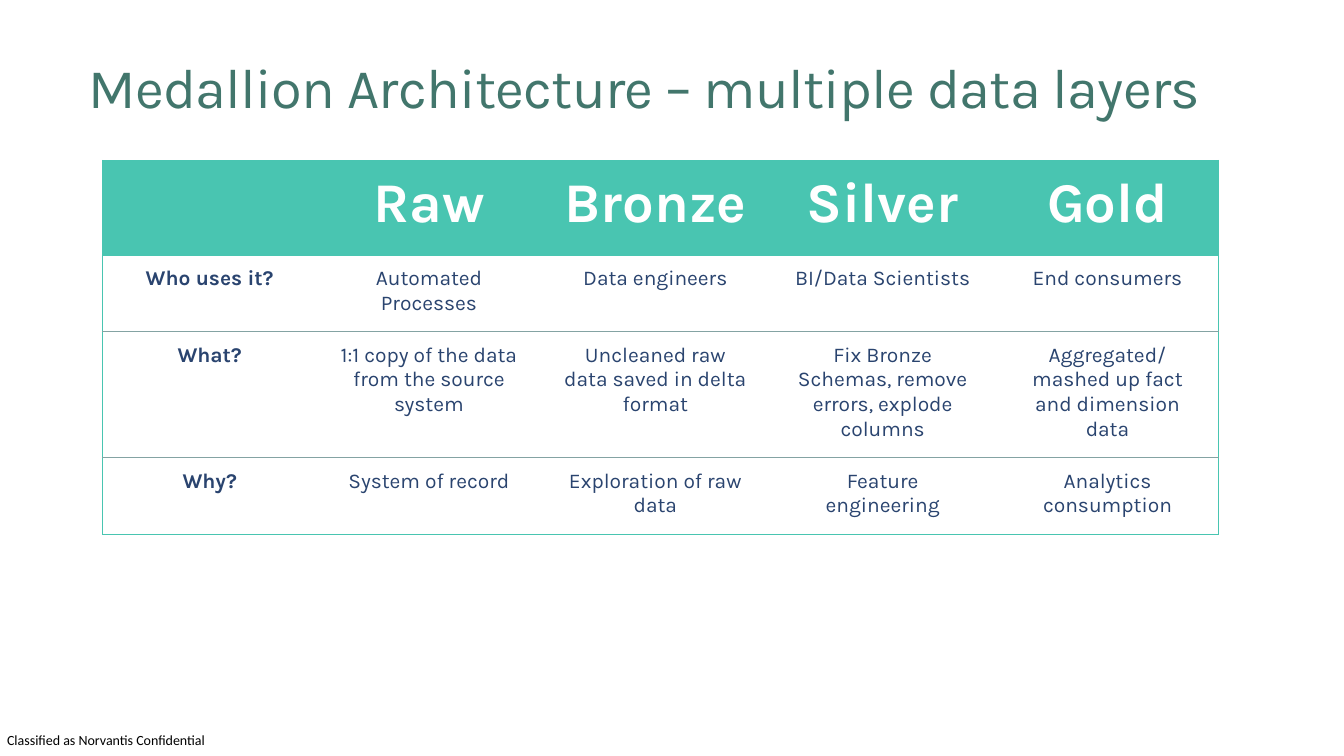
"""Build a slide with a table of the medallion architecture's data layers."""
from dataclasses import dataclass

import lxml.etree
import pptx
import pptx.dml.color
import pptx.enum.text
import pptx.oxml.ns
import pptx.util

EMU_PER_PX = 9144
TEAL = "49C5B1"
NAVY = "2A446F"
RULE_GREY = "84A3A3"
ALIGN = pptx.enum.text.PP_ALIGN
ANCHOR = pptx.enum.text.MSO_ANCHOR
AUTO_SIZE = pptx.enum.text.MSO_AUTO_SIZE

LAYER_HEADINGS = ("", "Raw", "Bronze", "Silver", "Gold")
COLUMN_WIDTHS = (212, 223, 226, 225, 221)


@dataclass(frozen=True)
class TableRow:
    """A row of the layer table with its height in px."""

    height: int
    texts: tuple[str, ...]


ROWS = (
    TableRow(94, LAYER_HEADINGS),
    TableRow(76, ("Who uses it?", "Automated Processes", "Data engineers",
                  "BI/Data Scientists", "End consumers")),
    TableRow(125, ("What?", "1:1 copy of the data from the source system",
                   "Uncleaned raw data saved in delta format",
                   "Fix Bronze Schemas, remove errors, explode columns",
                   "Aggregated/ mashed up fact and dimension data")),
    TableRow(76, ("Why?", "System of record", "Exploration of raw data",
                  "Feature engineering", "Analytics consumption")),
)


def px(length: int) -> pptx.util.Emu:
    """Turn px into EMU."""
    return pptx.util.Emu(length * EMU_PER_PX)


def rgb(value: str) -> pptx.dml.color.RGBColor:
    """Turn a hex string into a colour."""
    return pptx.dml.color.RGBColor.from_string(value)


def write(frame, text: str, *, size: int, color: str, font: str = "Karla",
          bold: bool = False, align=ALIGN.LEFT, inset: tuple[int, int] = (0, 0),
          spacing: int = 0, line_spacing: float = 1.0) -> None:
    """Write one formatted paragraph into a text frame."""
    frame.margin_left = frame.margin_right = px(inset[0])
    frame.margin_top = frame.margin_bottom = px(inset[1])
    paragraph = frame.paragraphs[0]
    paragraph.alignment = align
    paragraph.line_spacing = line_spacing
    run = paragraph.add_run()
    run.text = text
    run.font.size = pptx.util.Pt(size)
    run.font.name = font
    run.font.bold = bold
    run.font.color.rgb = rgb(color)
    if spacing:
        run.font._element.set("spc", str(spacing))


def set_borders(cell, left: str, right: str, top: str, bottom: str) -> None:
    """Set the four cell borders, where an empty colour means no line."""
    properties = cell._tc.get_or_add_tcPr()
    qn = pptx.oxml.ns.qn
    for side, color in zip("LRTB", (left, right, top, bottom)):
        line = lxml.etree.SubElement(properties, qn(f"a:ln{side}"), w="9525")
        if color:
            fill = lxml.etree.SubElement(line, qn("a:solidFill"))
            lxml.etree.SubElement(fill, qn("a:srgbClr"), val=color)
        else:
            lxml.etree.SubElement(line, qn("a:noFill"))


def add_layer_table(slide) -> None:
    """Add the table that compares the data layers."""
    table = slide.shapes.add_table(
        len(ROWS), len(COLUMN_WIDTHS), px(102), px(159),
        px(sum(COLUMN_WIDTHS)), px(sum(row.height for row in ROWS))).table
    table.first_row = table.horz_banding = False
    for column, width in zip(table.columns, COLUMN_WIDTHS):
        column.width = px(width)
    last_row, last_column = len(ROWS) - 1, len(COLUMN_WIDTHS) - 1
    for i, row in enumerate(ROWS):
        table.rows[i].height = px(row.height)
        is_header = i == 0
        top = TEAL if i <= 1 else RULE_GREY
        bottom = TEAL if i in (0, last_row) else RULE_GREY
        for j, text in enumerate(row.texts):
            cell = table.cell(i, j)
            set_borders(cell, TEAL if j == 0 else "",
                        TEAL if j == last_column else "", top, bottom)
            if is_header:
                cell.fill.solid()
                cell.fill.fore_color.rgb = rgb(TEAL)
            else:
                cell.fill.background()
            cell.vertical_anchor = ANCHOR.TOP
            cell.margin_left = cell.margin_right = px(22)
            cell.margin_top = cell.margin_bottom = px(11)
            if text:
                write(cell.text_frame, text, size=40 if is_header else 15,
                      color="FFFFFF" if is_header else NAVY,
                      bold=is_header or j == 0, align=ALIGN.CENTER,
                      inset=(22, 11))


def main() -> None:
    """Build and save the slide."""
    deck = pptx.Presentation()
    deck.slide_width, deck.slide_height = px(1333), px(750)
    slide = deck.slides.add_slide(deck.slide_layouts[5])

    title = slide.shapes.title
    title.left, title.top, title.width, title.height = map(px, (88, 50, 1157, 79))
    title.text_frame.auto_size = AUTO_SIZE.NONE
    title.text_frame.vertical_anchor = ANCHOR.MIDDLE
    write(title.text_frame, "Medallion Architecture – multiple data layers",
          size=40, color="42766C", spacing=-50, line_spacing=0.9)

    add_layer_table(slide)

    classification = slide.shapes.add_textbox(*map(px, (7, 726, 200, 17))).text_frame
    classification.word_wrap = False
    classification.auto_size = AUTO_SIZE.SHAPE_TO_FIT_TEXT
    write(classification, "Classified as Norvantis Confidential",
          size=10, color="000000", font="Calibri")

    deck.save("out.pptx")


if __name__ == "__main__":
    main()
